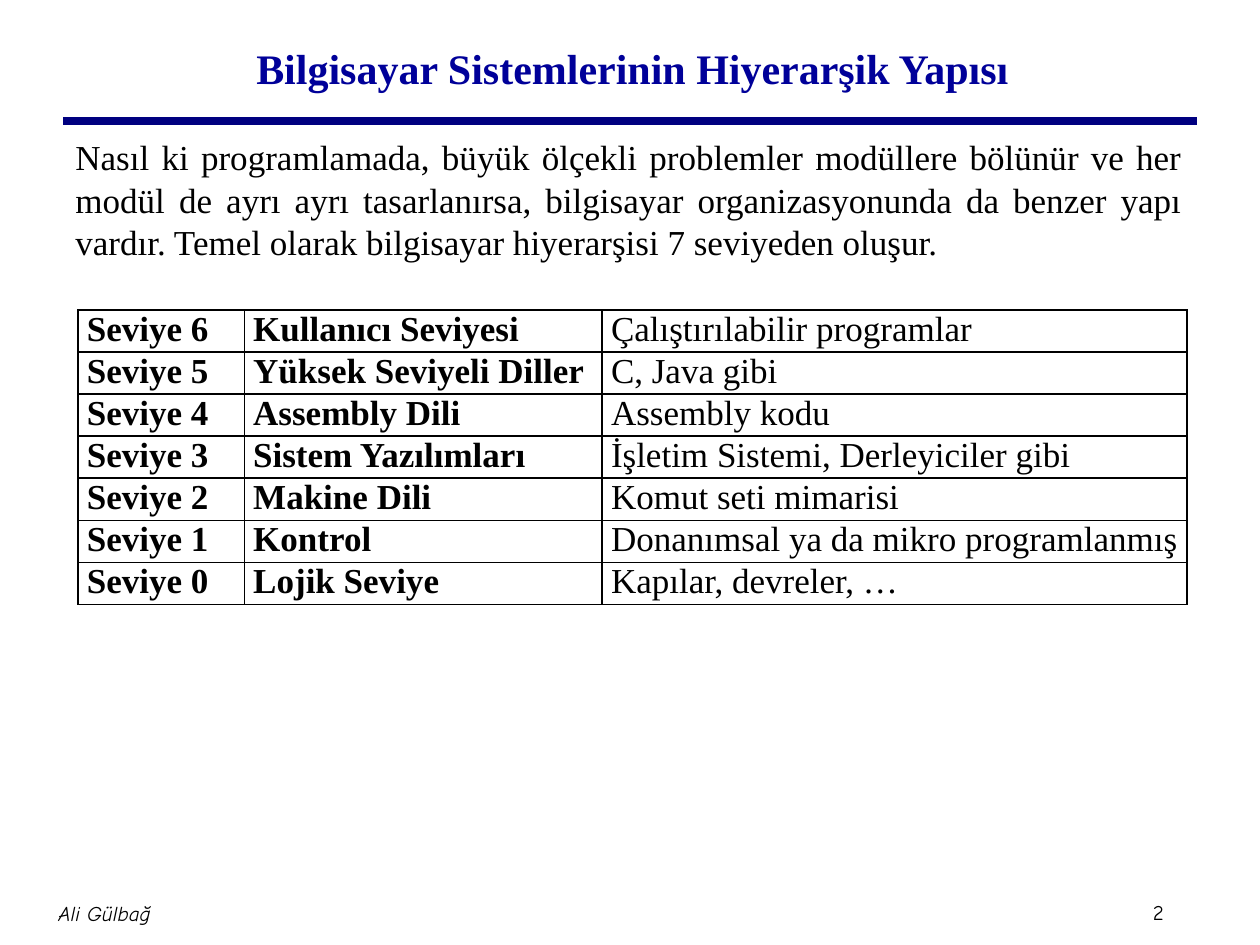
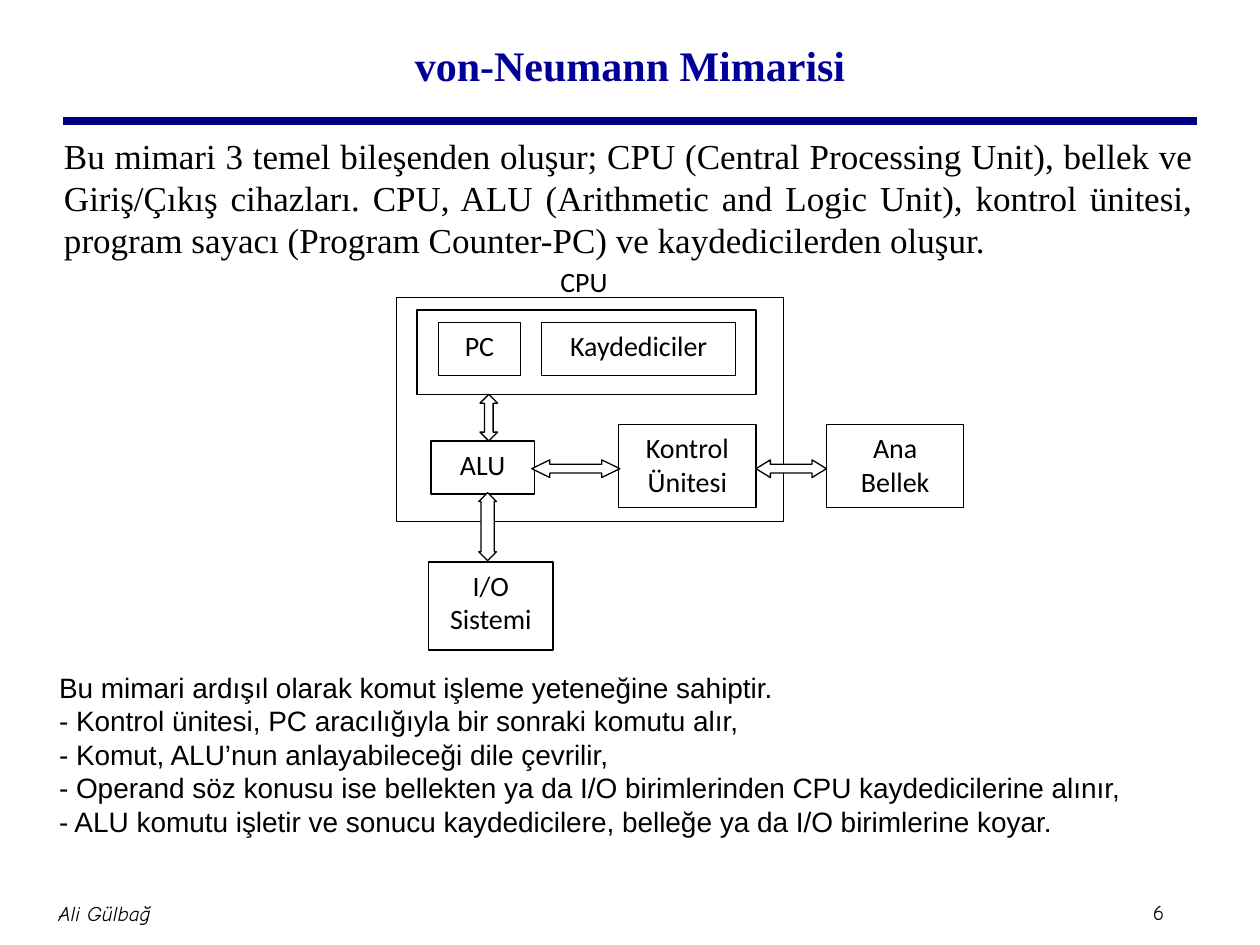
from pptx import Presentation
from pptx.dml.color import RGBColor
from pptx.enum.shapes import MSO_CONNECTOR, MSO_SHAPE
from pptx.enum.text import MSO_ANCHOR, PP_ALIGN
from pptx.oxml import parse_xml
from pptx.oxml.ns import nsdecls
from pptx.util import Inches, Pt
from lxml.etree import SubElement
from dataclasses import dataclass


@dataclass(frozen=True)
class Theme:
    ink: RGBColor = RGBColor(0, 0, 0)
    paper: RGBColor = RGBColor(255, 255, 255)
    title: RGBColor = RGBColor(0, 0, 0x99)
    rule: RGBColor = RGBColor(0, 0, 0x80)
    serif: tuple = ("Times New Roman", 20)
    heading: tuple = ("Times New Roman", 24)
    label: tuple = ("Calibri", 16)
    notes: tuple = ("Arial", 16)
    footer: tuple = ("Comic Neue", 12)


T = Theme()
prs = Presentation()
prs.slide_width, prs.slide_height = Inches(10), Inches(7.5)

# Grid: 100 columns by 75 rows
COL, ROW = prs.slide_width / 100, prs.slide_height / 75


def box(x, y, w, h):
    return round(x * COL), round(y * ROW), round(w * COL), round(h * ROW)


def write(tf, lines, face, align, anchor=MSO_ANCHOR.TOP, color=T.ink,
          bold=False, italic=False, inset=None, leading=None, after=0):
    tf.word_wrap = True
    tf.vertical_anchor = anchor
    if inset is not None:
        tf.margin_left = tf.margin_right = tf.margin_top = tf.margin_bottom = inset
    for i, line in enumerate(lines):
        p = tf.paragraphs[0] if i == 0 else tf.add_paragraph()
        p.text, p.alignment = line, align
        p.space_before, p.space_after = Pt(0), Pt(after)
        if leading:
            p.line_spacing = leading
        p.font.name, p.font.size = face[0], Pt(face[1])
        p.font.bold, p.font.italic = bold, italic
        p.font.color.rgb = color


# Shared frame: title, rule, footer, introduction
pages = [
    ("Bilgisayar Sistemlerinin Hiyerarşik Yapısı", (2.2, 1.1, 96, 8.6), "2",
     "Nasıl ki programlamada, büyük ölçekli problemler modüllere bölünür ve her "
     "modül de ayrı ayrı tasarlanırsa, bilgisayar organizasyonunda da benzer yapı "
     "vardır. Temel olarak bilgisayar hiyerarşisi 7 seviyeden oluşur.",
     (5, 10.3, 89.8, 11.1)),
    ("von-Neumann Mimarisi", (7.5, 0.8, 85, 8.6), "6",
     "Bu mimari 3 temel bileşenden oluşur; CPU (Central Processing Unit), bellek ve "
     "Giriş/Çıkış cihazları. CPU, ALU (Arithmetic and Logic Unit), kontrol ünitesi, "
     "program sayacı (Program Counter-PC) ve kaydedicilerden oluşur.",
     (4.1, 10.2, 91.6, 13.5)),
]
for title, title_at, number, intro, intro_at in pages:
    s = prs.slides.add_slide(prs.slide_layouts[5])
    sp = s.shapes.title
    sp.left, sp.top, sp.width, sp.height = box(*title_at)
    write(sp.text_frame, [title], T.heading, PP_ALIGN.CENTER, MSO_ANCHOR.MIDDLE,
          T.title, bold=True)

    x, y, w, h = box(5, 9.6, 90, 0)
    rule = s.shapes.add_connector(MSO_CONNECTOR.STRAIGHT, x, y, x + w, y)
    rule.line.color.rgb, rule.line.width = T.rule, Pt(4.5)
    rule._element.spPr.append(parse_xml(f"<a:effectLst {nsdecls('a')}/>"))

    for text, at, align, italic in [
            (number, (91, 70.9, 4.7, 3), PP_ALIGN.LEFT, False),
            ("Ali Gülbağ", (-9.6, 70, 35.8, 5), PP_ALIGN.CENTER, True)]:
        sp = s.shapes.add_textbox(*box(*at))
        write(sp.text_frame, [text], T.footer, align, MSO_ANCHOR.MIDDLE,
              italic=italic, inset=Inches(0.05))

    sp = s.shapes.add_textbox(*box(*intro_at))
    write(sp.text_frame, [intro], T.serif, PP_ALIGN.JUSTIFY)

hierarchy, neumann = prs.slides

# Slide 1: level table, counted down from the top level
levels = [
    ("Kullanıcı Seviyesi", "Çalıştırılabilir programlar"),
    ("Yüksek Seviyeli Diller", "C, Java gibi"),
    ("Assembly Dili", "Assembly kodu"),
    ("Sistem Yazılımları", "İşletim Sistemi, Derleyiciler gibi"),
    ("Makine Dili", "Komut seti mimarisi"),
    ("Kontrol", "Donanımsal ya da mikro programlanmış"),
    ("Lojik Seviye", "Kapılar, devreler, …"),
]
table = hierarchy.shapes.add_table(len(levels), 3, *box(6.2, 24.6, 88, 20.3)).table
table.first_row = table.horz_banding = False
for column, width in zip(table.columns, (13.2, 28.4, 46.4)):
    column.width = round(width * COL)
for r, level in enumerate(levels):
    for c, text in enumerate((f"Seviye {len(levels) - 1 - r}", *level)):
        cell = table.cell(r, c)
        write(cell.text_frame, [text], T.serif, PP_ALIGN.JUSTIFY, bold=c < 2)
        cell.margin_left = cell.margin_right = Inches(0.07)
        cell.margin_top = cell.margin_bottom = 0
        tcPr = cell._tc.get_or_add_tcPr()
        for side in "LRTB":
            tcPr.append(parse_xml(
                f'<a:ln{side} {nsdecls("a")} w="{Pt(1)}"><a:solidFill>'
                f'<a:srgbClr val="{T.ink}"/></a:solidFill></a:ln{side}>'))
        cell.fill.background()

# Slide 2: block diagram, from back to front
RECT, ACROSS, UPDOWN = (MSO_SHAPE.RECTANGLE, MSO_SHAPE.LEFT_RIGHT_ARROW,
                        MSO_SHAPE.UP_DOWN_ARROW)
blocks = [
    (RECT, (31.5, 23.6, 30.7, 17.8), ""),
    (RECT, (33.1, 24.6, 26.9, 6.7), ""),
    (RECT, (34.8, 25.6, 6.5, 4.2), "PC"),
    (RECT, (43, 25.6, 15.4, 4.2), "Kaydediciler"),
    (RECT, (34.2, 35, 8.2, 4.2), "ALU"),
    (RECT, (49.1, 33.7, 10.9, 6.6), "Kontrol Ünitesi"),
    (RECT, (65.6, 33.7, 10.9, 6.6), "Ana Bellek"),
    (RECT, (34, 44.6, 9.9, 7), "I/O Sistemi"),
    (ACROSS, (42.2, 36.5, 7, 1.4), 1.03),
    (ACROSS, (60, 36.5, 5.6, 1.4), 0.82),
    (UPDOWN, (38, 39.1, 1.4, 5.4), 0.75),
    (UPDOWN, (38.1, 31.3, 1.4, 3.7), 0.49),
]
for kind, at, detail in blocks:
    sp = neumann.shapes.add_shape(kind, *box(*at))
    sp.shadow.inherit = False
    sp.fill.solid()
    sp.fill.fore_color.rgb = T.paper
    sp.line.color.rgb, sp.line.width = T.ink, Pt(0.75)
    if kind != RECT:
        # Shaft is half the width; the head length differs per arrow
        sp.adjustments[0], sp.adjustments[1] = 0.5, detail
    elif detail:
        write(sp.text_frame, [detail], T.label, PP_ALIGN.CENTER, after=10)

sp = neumann.shapes.add_textbox(*box(42.5, 20.5, 7.7, 4.2))
write(sp.text_frame, ["CPU"], T.label, PP_ALIGN.CENTER, after=10)

# Slide 2: how instructions are processed
steps = [
    "Bu mimari ardışıl olarak komut işleme yeteneğine sahiptir.",
    "- Kontrol ünitesi, PC aracılığıyla bir sonraki komutu alır,",
    "- Komut, ALU’nun anlayabileceği dile çevrilir,",
    "- Operand söz konusu ise bellekten ya da I/O birimlerinden CPU kaydedicilerine alınır,",
    "- ALU komutu işletir ve sonucu kaydedicilere, belleğe ya da I/O birimlerine koyar.",
]
sp = neumann.shapes.add_textbox(*box(3.7, 52.6, 90.8, 14.5))
write(sp.text_frame, steps, T.notes, PP_ALIGN.JUSTIFY, MSO_ANCHOR.MIDDLE)

prs.save("out.pptx")
